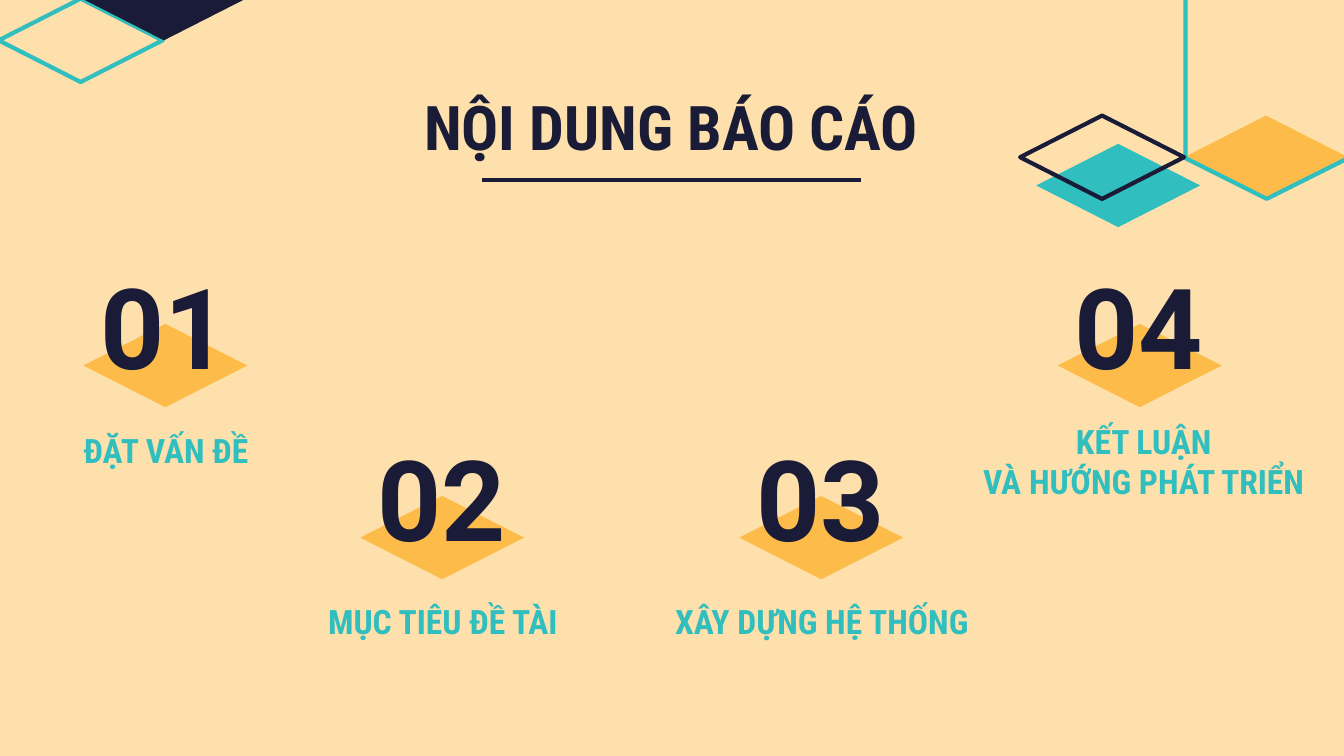
from lxml import etree
from pptx import Presentation
from pptx.dml.color import RGBColor
from pptx.enum.shapes import MSO_CONNECTOR, MSO_SHAPE
from pptx.enum.text import MSO_ANCHOR, PP_ALIGN
from pptx.oxml.ns import qn
from pptx.util import Inches, Pt

DIAMOND = MSO_SHAPE.DIAMOND
HEXAGON = MSO_SHAPE.HEXAGON
STRAIGHT = MSO_CONNECTOR.STRAIGHT
TOP, MIDDLE, BOTTOM = MSO_ANCHOR.TOP, MSO_ANCHOR.MIDDLE, MSO_ANCHOR.BOTTOM
CENTER = PP_ALIGN.CENTER

COLORS = {"cream": "FDE0AC", "amber": "FDBC4A", "navy": "1A1B36", "teal": "31BEBE"}
CONDENSED = "Roboto Condensed"
SLIDE_W = 10
SLIDE_H = SLIDE_W * 9 / 16
DIAMOND_W, DIAMOND_H = 1.22, 0.62
RULE_W = 2.82
LINE_W = 2.25

ITEMS = [
    ("01", 0.38, 2.01, ["ĐẶT VẤN ĐỀ"], (0.2, 3.1, 2.07)),
    ("02", 2.44, 3.29, ["MỤC TIÊU ĐỀ TÀI"], (2.27, 4.37, 2.05)),
    ("03", 5.26, 3.29, ["XÂY DỰNG HỆ THỐNG"], (4.82, 4.37, 2.59)),
    ("04", 7.63, 2.01, ["KẾT LUẬN", "VÀ HƯỚNG PHÁT TRIỂN"], (7.14, 3.03, 2.74)),
]


def rgb(name):
    return RGBColor.from_string(COLORS[name])


def add_figure(slide, kind, x, y, w, h, fill=None, line=None):
    sp = slide.shapes.add_shape(kind, Inches(x), Inches(y), Inches(w), Inches(h))
    sp.shadow.inherit = False
    if fill:
        sp.fill.solid()
        sp.fill.fore_color.rgb = rgb(fill)
    else:
        sp.fill.background()
    if line:
        sp.line.color.rgb = rgb(line)
        sp.line.width = Pt(LINE_W)
    else:
        sp.line.fill.background()
    return sp


def add_diamond(slide, x, y, fill=None, line=None):
    return add_figure(slide, DIAMOND, x, y, DIAMOND_W, DIAMOND_H, fill, line)


def add_text(slide, lines, x, y, w, h, size, font, color, anchor):
    sp = slide.shapes.add_textbox(Inches(x), Inches(y), Inches(w), Inches(h))
    tf = sp.text_frame
    tf.word_wrap = True
    tf.vertical_anchor = anchor
    tf.margin_left = tf.margin_right = Inches(0.1)
    tf.margin_top = tf.margin_bottom = Inches(0.1)
    for i, line in enumerate(lines):
        p = tf.paragraphs[0] if i == 0 else tf.add_paragraph()
        p.text = line
        p.alignment = CENTER
        p.font.size = Pt(size)
        p.font.name = font
        p.font.bold = True
        p.font.color.rgb = rgb(color)


def add_left_corner(slide, x, y):
    add_diamond(slide, x, y, line="teal")
    add_diamond(slide, x + 0.62, y - 0.31, fill="navy")


def add_right_corner(slide, x, y):
    add_diamond(slide, x + DIAMOND_W, y, fill="amber")
    hexagon = add_figure(slide, HEXAGON, x + 0.75, y - 1.07, 2.17, 1.21, line="teal")
    hexagon.rotation = 90
    add_diamond(slide, x + 0.12, y + 0.21, fill="teal")
    add_diamond(slide, x, y, line="navy")


def add_title(slide, x, y, w, h):
    add_text(slide, ["NỘI DUNG BÁO CÁO"], x, y, w, h, 33, CONDENSED, "navy", BOTTOM)
    rule_x = (SLIDE_W - RULE_W) / 2
    rule_y = Inches(y + h + 0.03)
    rule = slide.shapes.add_connector(
        STRAIGHT, Inches(rule_x), rule_y, Inches(rule_x + RULE_W), rule_y)
    rule.line.color.rgb = rgb("navy")
    rule.line.width = Pt(LINE_W)
    etree.SubElement(rule._element.spPr, qn("a:effectLst"))


def add_item(slide, number, x, y, label, label_box):
    label_x, label_y, label_w = label_box
    add_text(slide, label, label_x, label_y, label_w, 0.39, 18, CONDENSED, "teal", TOP)
    add_diamond(slide, x + 0.24, y + 0.4, fill="amber")
    add_text(slide, [number], x, y, 1.69, 0.81, 60, "Roboto", "navy", MIDDLE)


def main():
    prs = Presentation()
    prs.slide_width, prs.slide_height = Inches(SLIDE_W), Inches(SLIDE_H)
    slide = prs.slides.add_slide(prs.slide_layouts[6])
    slide.background.fill.solid()
    slide.background.fill.fore_color.rgb = rgb("cream")
    add_left_corner(slide, -0.01, -0.01)
    add_right_corner(slide, 7.59, 0.86)
    add_title(slide, 0.67, 0.65, 8.65, 0.66)
    for item in ITEMS:
        add_item(slide, *item)
    prs.save("out.pptx")


if __name__ == "__main__":
    main()
